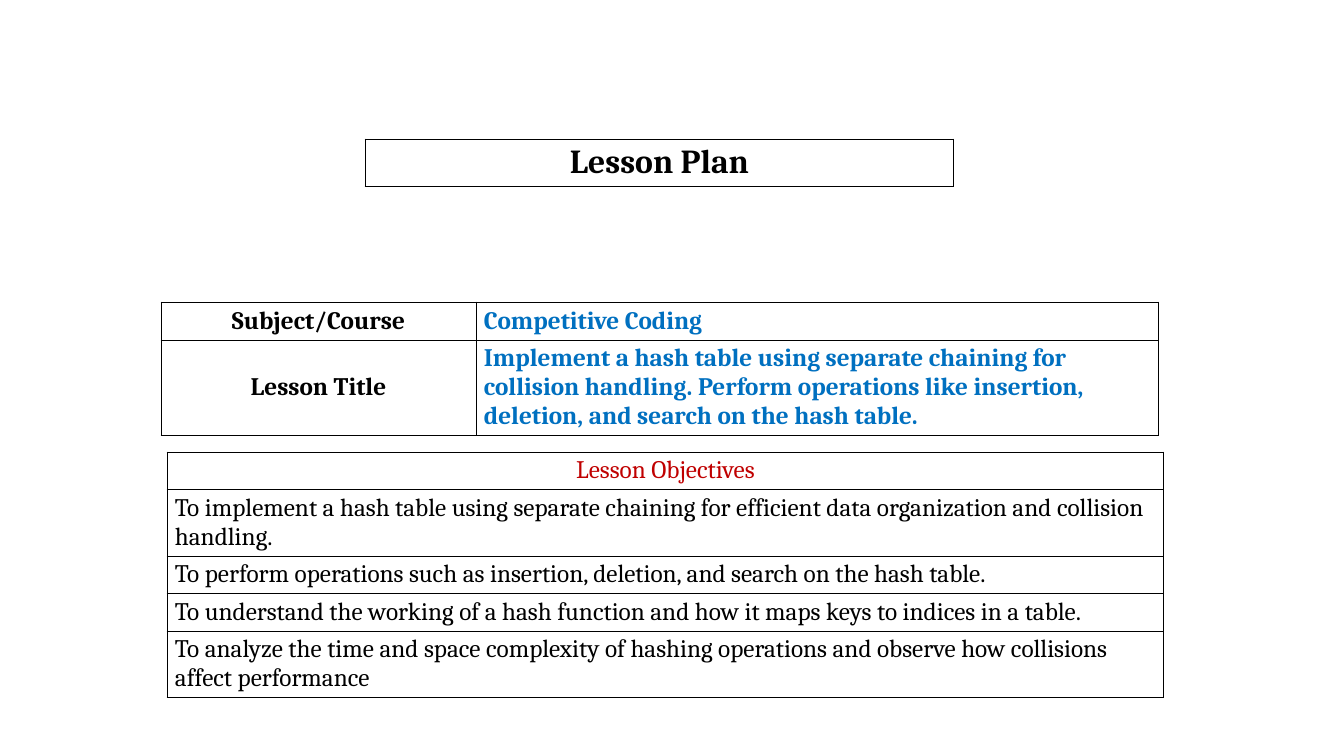
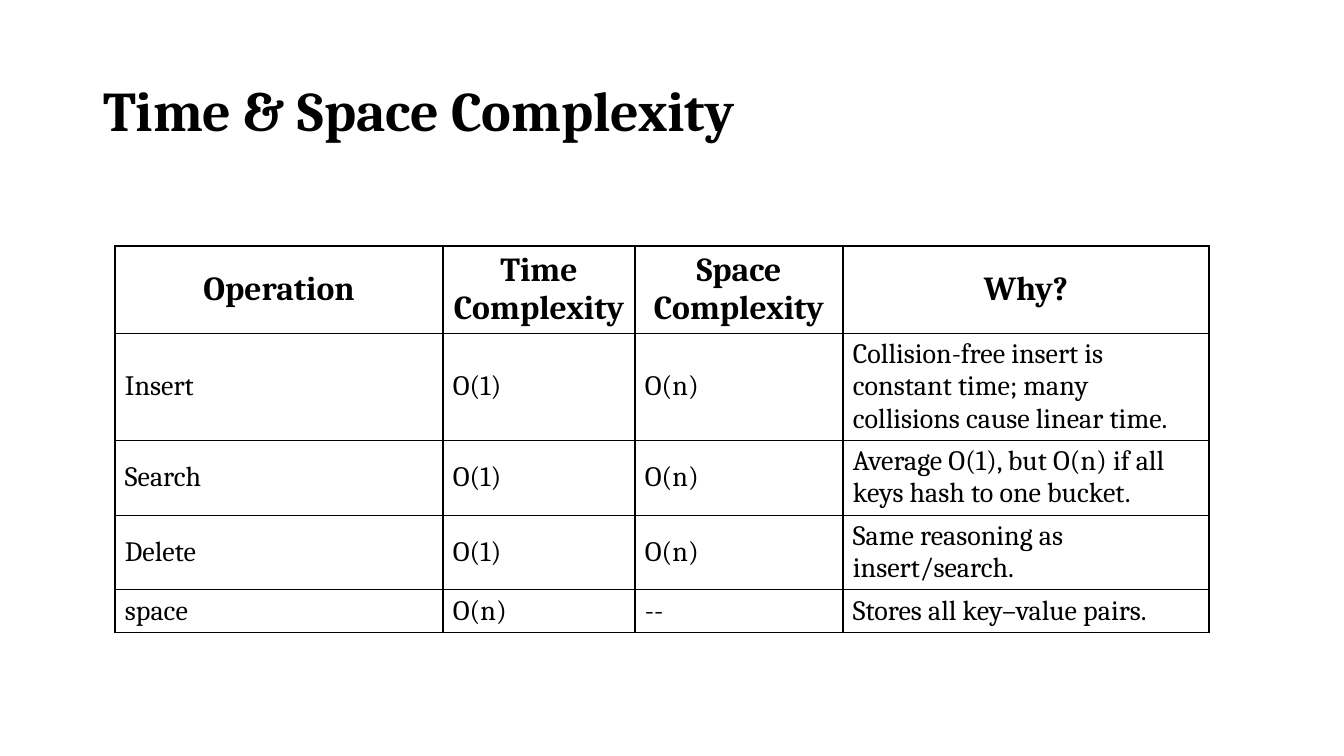
import pptx
import pptx.util
import pptx.dml.color
import pptx.enum.text
import pptx.oxml

PX = 12192000 / 1344
FONT = "Cambria"
BLACK = pptx.dml.color.RGBColor(0x00, 0x00, 0x00)
WHITE = pptx.dml.color.RGBColor(0xFF, 0xFF, 0xFF)
BLUE = pptx.dml.color.RGBColor(0x00, 0x70, 0xC0)
RED = pptx.dml.color.RGBColor(0xC0, 0x00, 0x00)
LEFT = pptx.enum.text.PP_ALIGN.LEFT
CENTER = pptx.enum.text.PP_ALIGN.CENTER
MIDDLE = pptx.enum.text.MSO_ANCHOR.MIDDLE
DRAWING = "http://schemas.openxmlformats.org/drawingml/2006/main"


def style_text(frame, size, color=BLACK, bold=False, align=LEFT):
    for para in frame.paragraphs:
        para.alignment = align
        for span in para.runs:
            span.font.name = FONT
            span.font.size = pptx.util.Pt(size)
            span.font.color.rgb = color
            span.font.bold = bold


def add_grid(page, left, top, widths, heights, texts, side, edge, border, fill=None):
    frame = page.shapes.add_table(
        len(heights), len(widths), round(left * PX), round(top * PX),
        round(sum(widths) * PX), round(sum(heights) * PX))
    table = frame.table
    table.first_row = False
    table.horz_banding = False
    for column, width in zip(table.columns, widths):
        column.width = round(width * PX)
    for row, height, row_texts in zip(table.rows, heights, texts):
        row.height = round(height * PX)
        for cell, text in zip(row.cells, row_texts):
            cell.text_frame.text = text
            cell.vertical_anchor = MIDDLE
            cell.margin_left = cell.margin_right = round(side * PX)
            cell.margin_top = cell.margin_bottom = round(edge * PX)
            properties = cell._tc.get_or_add_tcPr()
            for line in ("lnL", "lnR", "lnT", "lnB"):
                properties.append(pptx.oxml.parse_xml(
                    f'<a:{line} xmlns:a="{DRAWING}" w="{pptx.util.Pt(border)}">'
                    f'<a:solidFill><a:srgbClr val="{BLACK}"/></a:solidFill></a:{line}>'))
            if fill is None:
                cell.fill.background()
            else:
                cell.fill.solid()
                cell.fill.fore_color.rgb = fill
    return table


deck = pptx.Presentation()
deck.slide_width = round(1344 * PX)
deck.slide_height = round(756 * PX)

page = deck.slides.add_slide(deck.slide_layouts[6])
plan_look = {"side": 8, "edge": 4, "border": 0.77, "fill": WHITE}

heading = add_grid(page, 365, 139, [589], [47], [["Lesson Plan"]], **plan_look)
style_text(heading.cell(0, 0).text_frame, 24, bold=True, align=CENTER)

course_rows = [
    ["Subject/Course", "Competitive Coding"],
    ["Lesson Title", "Implement a hash table using separate chaining for collision handling. "
     "Perform operations like insertion, deletion, and search on the hash table."],
]
course = add_grid(page, 161, 302, [315, 683], [38, 95], course_rows, **plan_look)
for row in course.rows:
    label, value = row.cells
    style_text(label.text_frame, 18, bold=True, align=CENTER)
    style_text(value.text_frame, 18, BLUE, bold=True)

objective_rows = [
    ["Lesson Objectives"],
    ["To implement a hash table using separate chaining for efficient data organization "
     "and collision handling."],
    ["To perform operations such as insertion, deletion, and search on the hash table."],
    ["To understand the working of a hash function and how it maps keys to indices in a table."],
    ["To analyze the time and space complexity of hashing operations and observe how "
     "collisions affect performance"],
]
objectives = add_grid(page, 167, 452, [997], [37, 67, 37, 38, 66], objective_rows, **plan_look)
for cell in objectives.iter_cells():
    style_text(cell.text_frame, 18)
style_text(objectives.cell(0, 0).text_frame, 18, RED, align=CENTER)

page = deck.slides.add_slide(deck.slide_layouts[5])
title = page.shapes.title
title.left, title.top, title.width, title.height = (
    round(length * PX) for length in (93, 40, 1159, 146))
title.text_frame.text = "Time & Space Complexity"
title.text_frame.auto_size = pptx.enum.text.MSO_AUTO_SIZE.NONE
title.text_frame.vertical_anchor = MIDDLE
title.text_frame.paragraphs[0].line_spacing = 0.9
style_text(title.text_frame, 40, bold=True)

complexity_rows = [
    ["Operation", "Time Complexity", "Space Complexity", "Why?"],
    ["Insert", "O(1)", "O(n)",
     "Collision-free insert is constant time; many collisions cause linear time."],
    ["Search", "O(1)", "O(n)", "Average O(1), but O(n) if all keys hash to one bucket."],
    ["Delete", "O(1)", "O(n)", "Same reasoning as insert/search."],
    ["space", "O(n)", "--", "Stores all key–value pairs."],
]
complexity = add_grid(page, 115, 246, [328, 192, 208, 366], [87, 107, 75, 74, 43],
                      complexity_rows, side=10, edge=5, border=1)
for cell in complexity.iter_cells():
    style_text(cell.text_frame, 20)
for cell in complexity.rows[0].cells:
    style_text(cell.text_frame, 24, bold=True, align=CENTER)

deck.save("out.pptx")
